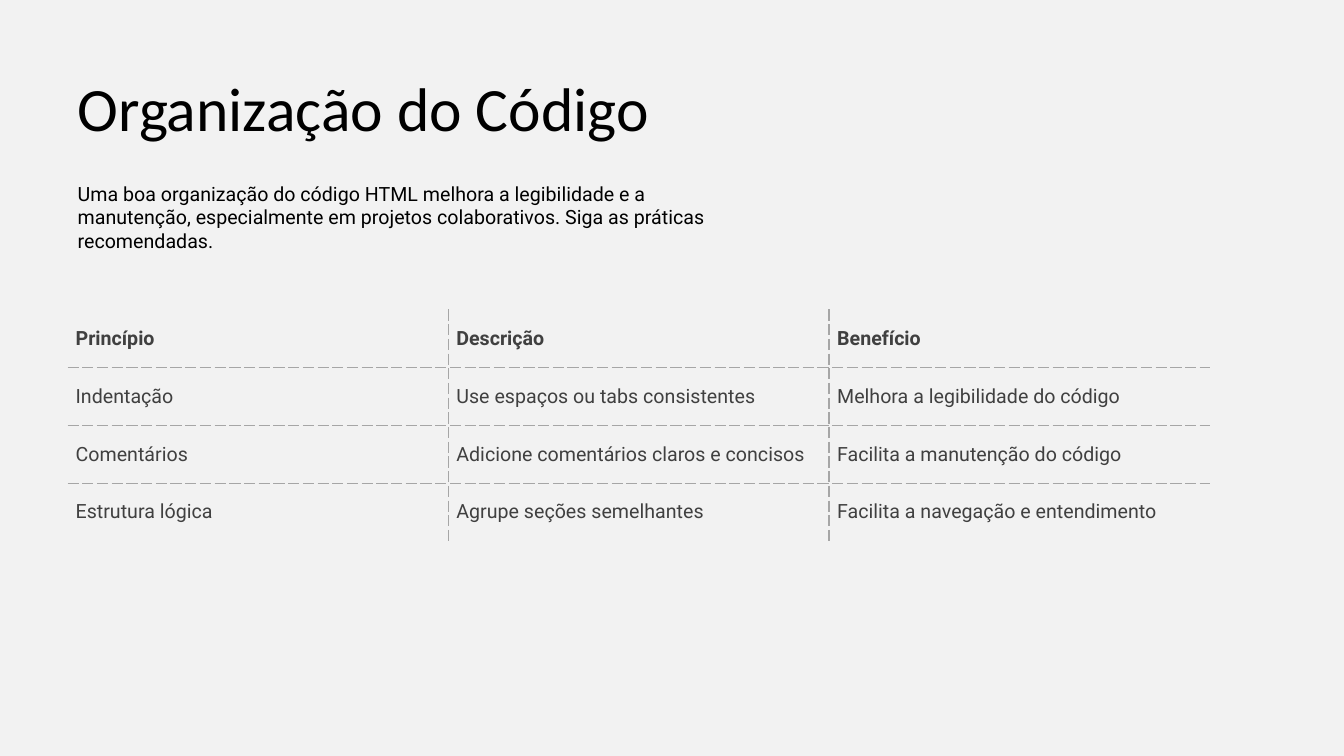
from lxml.etree import SubElement
from pptx import Presentation
from pptx.dml.color import RGBColor
from pptx.enum.text import MSO_ANCHOR as Anchor, MSO_AUTO_SIZE as AutoSize, PP_ALIGN as Align
from pptx.oxml.ns import qn
from pptx.util import Inches, Pt

BACKGROUND = "F2F2F2"
BLACK = "000000"
TABLE_TEXT = "404040"
GRID_LINE = "A6A6A6"

TITLE = "Organização do Código"
INTRODUCTION = (
    "Uma boa organização do código HTML melhora a legibilidade e a manutenção, "
    "especialmente em projetos colaborativos. Siga as práticas recomendadas."
)
PRACTICES = [
    ["Princípio", "Descrição", "Benefício"],
    ["Indentação", "Use espaços ou tabs consistentes", "Melhora a legibilidade do código"],
    ["Comentários", "Adicione comentários claros e concisos", "Facilita a manutenção do código"],
    ["Estrutura lógica", "Agrupe seções semelhantes", "Facilita a navegação e entendimento"],
]


def color(hex_string):
    return RGBColor.from_string(hex_string)


def add_run(paragraph, text, font_name, size, hex_color, bold=False):
    run = paragraph.add_run()
    run.text = text
    run.font.name = font_name
    run.font.size = Pt(size)
    run.font.bold = bold
    run.font.color.rgb = color(hex_color)


def fill_placeholder(shape, box, text, font_name, size):
    """Move a placeholder and give it one left-aligned, unbulleted paragraph."""
    shape.left, shape.top, shape.width, shape.height = map(Inches, box)
    frame = shape.text_frame
    frame.word_wrap = True
    frame.auto_size = AutoSize.NONE
    frame.vertical_anchor = Anchor.MIDDLE
    paragraph = frame.paragraphs[0]
    properties = paragraph._p.get_or_add_pPr()
    properties.set("marL", "0")
    properties.set("indent", "0")
    SubElement(properties, qn("a:buNone"))
    paragraph.alignment = Align.LEFT
    paragraph.space_before = Pt(0)
    add_run(paragraph, text, font_name, size, BLACK)


def add_border(cell, side, visible):
    properties = cell._tc.get_or_add_tcPr()
    line = SubElement(properties, qn(f"a:ln{side}"), w=str(Pt(1) if visible else 0))
    if visible:
        fill = SubElement(line, qn("a:solidFill"))
        SubElement(fill, qn("a:srgbClr"), val=GRID_LINE)
        SubElement(line, qn("a:prstDash"), val="sysDash")
    else:
        SubElement(line, qn("a:noFill"))


def format_cell(cell, text, bold, borders):
    cell.vertical_anchor = Anchor.MIDDLE
    cell.margin_left = cell.margin_right = Inches(0.08)
    cell.margin_top = cell.margin_bottom = Inches(0.08)
    for side, visible in borders.items():
        add_border(cell, side, visible)
    cell.fill.background()
    add_run(cell.text_frame.paragraphs[0], text, "Roboto", 14, TABLE_TEXT, bold)


def add_practice_table(slide, rows):
    last_row, last_column = len(rows) - 1, len(rows[0]) - 1
    table = slide.shapes.add_table(
        len(rows), len(rows[0]), Inches(0.67), Inches(3.07), Inches(11.33), Inches(2.3)
    ).table
    table.first_row = False
    table.horz_banding = False
    for row_index, row in enumerate(rows):
        for column_index, text in enumerate(row):
            # Only the inner grid lines show
            borders = {
                "L": column_index > 0,
                "R": column_index < last_column,
                "T": row_index > 0,
                "B": row_index < last_row,
            }
            format_cell(table.cell(row_index, column_index), text, row_index == 0, borders)


def main():
    presentation = Presentation()
    presentation.slide_width = Inches(13.33)
    presentation.slide_height = Inches(7.5)
    slide = presentation.slides.add_slide(presentation.slide_layouts[1])
    slide.background.fill.solid()
    slide.background.fill.fore_color.rgb = color(BACKGROUND)

    # Title and introduction
    fill_placeholder(slide.shapes.title, (0.67, 0.39, 12, 1.33), TITLE, "Calibri", 44)
    fill_placeholder(slide.placeholders[1], (0.67, 1.72, 6.6, 0.86), INTRODUCTION, "Roboto", 14)

    # Table of recommended practices
    add_practice_table(slide, PRACTICES)
    presentation.save("out.pptx")


if __name__ == "__main__":
    main()
